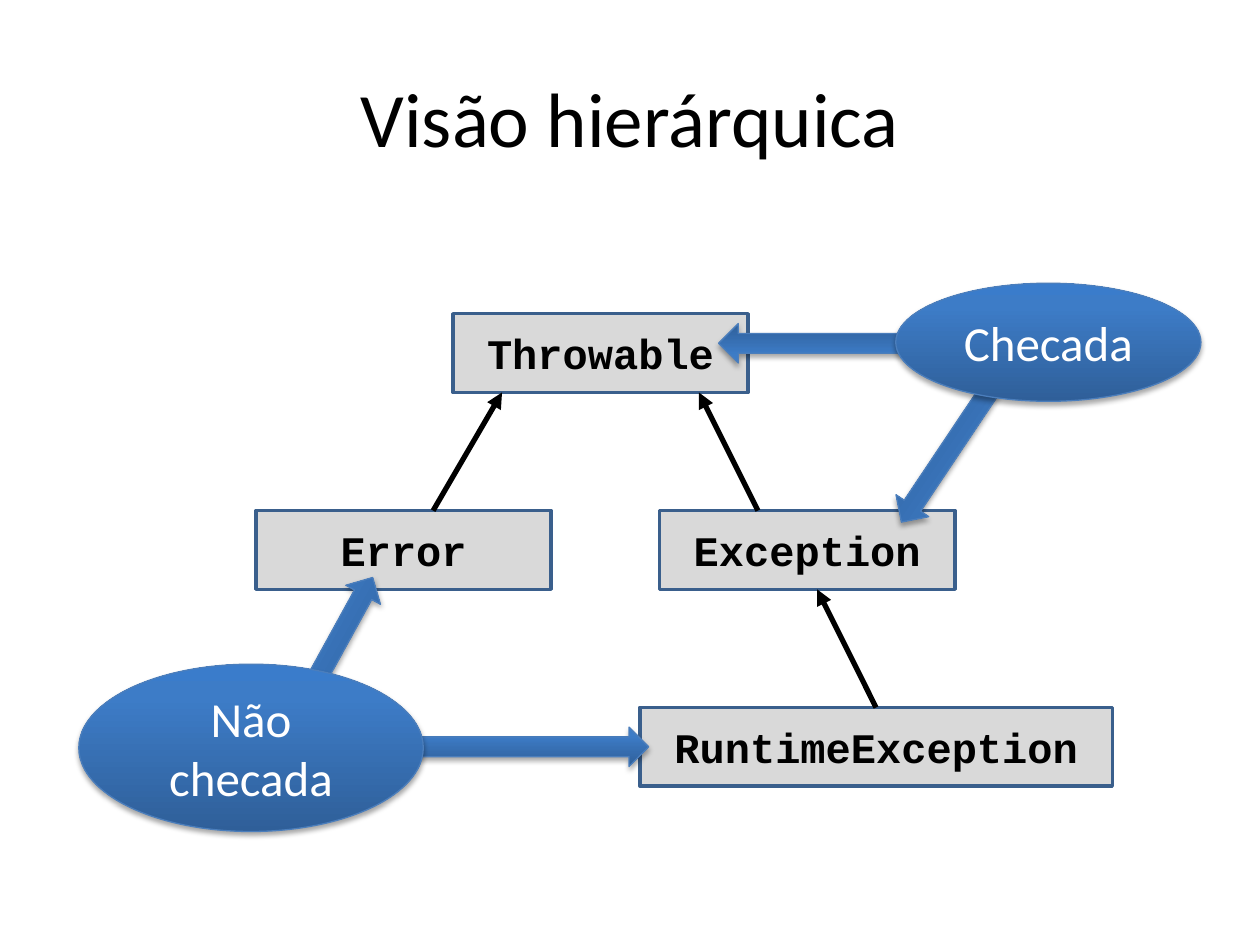
from pptx import Presentation
from pptx.dml.color import RGBColor
from pptx.enum.shapes import MSO_CONNECTOR as Link, MSO_SHAPE as Shape
from pptx.enum.text import MSO_ANCHOR as Anchor, PP_ALIGN as Align
from pptx.oxml import parse_xml
from pptx.oxml.ns import nsdecls
from pptx.util import Inches, Pt

WIDTH, HEIGHT = 10, 7.5
UNIT = WIDTH / 64          # one column or row of the diagram grid
TOP = -0.01                # where the grid's first row starts
NODE_ROWS, ARROW_ROWS = 4, 2
GRADIENT = [(0, "2F5F99"), (80, "3D7CC7"), (100, "3A7CCB")]


def color(value):
    return RGBColor.from_string(value)


def grid_point(col, row):
    return Inches(col * UNIT), Inches(TOP + row * UNIT)


def grid_box(col, row, cols, rows):
    return *grid_point(col, row), Inches(cols * UNIT), Inches(rows * UNIT)


def add_xml(parent, xml, index=None):
    node = parse_xml(xml.replace(">", f" {nsdecls('a')}>", 1))
    parent.insert(len(parent) if index is None else index, node)


def write(box, text, font, size, hue, bold=False):
    frame = box.text_frame
    frame.word_wrap = True
    frame.vertical_anchor = Anchor.MIDDLE
    para = frame.paragraphs[0]
    para.alignment = Align.CENTER
    span = para.add_run()
    span.text = text
    span.font.name, span.font.size, span.font.bold = font, Pt(size), bold
    span.font.color.rgb = color(hue)


def outline(box, hue, width):
    box.line.color.rgb = color(hue)
    box.line.width = Pt(width)


def add_title(page, left, top, width, height):
    box = page.shapes.add_textbox(*map(Inches, (left, top, width, height)))
    write(box, "Visão hierárquica", "Calibri", 44, "000000")


def add_node(page, text, col, row, cols):
    box = page.shapes.add_shape(Shape.RECTANGLE, *grid_box(col, row, cols, NODE_ROWS))
    box.shadow.inherit = False
    box.fill.solid()
    box.fill.fore_color.rgb = color("D9D9D9")
    outline(box, "3A5F8C", 2)
    write(box, text, "Courier New", 24, "000000", bold=True)
    return box


def add_link(page, start, end):
    link = page.shapes.add_connector(Link.STRAIGHT, *grid_point(*start), *grid_point(*end))
    outline(link, "000000", 3)
    add_xml(link.line._get_or_add_ln(), '<a:tailEnd type="triangle"></a:tailEnd>')
    add_xml(link._element.spPr, "<a:effectLst></a:effectLst>")
    return link


def add_glossy(group, kind, box):
    """Shape with the blue gradient and a soft shadow below."""
    shape = group.shapes.add_shape(kind, *box)
    props = shape._element.spPr
    stops = "".join(f'<a:gs pos="{pos * 1000}"><a:srgbClr val="{hue}"/></a:gs>'
                    for pos, hue in GRADIENT)
    add_xml(props, f'<a:gradFill rotWithShape="1"><a:gsLst>{stops}</a:gsLst>'
                   '<a:lin ang="16200000" scaled="0"/></a:gradFill>', index=2)
    outline(shape, "4B7EBC", 0.75)
    add_xml(props, f'<a:effectLst><a:outerShdw blurRad="{Pt(3.1)}" dist="{Pt(1.8)}" '
                   'dir="5400000" rotWithShape="0"><a:srgbClr val="000000">'
                   '<a:alpha val="35000"/></a:srgbClr></a:outerShdw></a:effectLst>')
    return shape


def add_callout(page, text, bubble, arrows):
    """Oval over its arrows; an arrow is centre column, centre row, length, angle."""
    group = page.shapes.add_group_shape()
    for col, row, length, angle in arrows:
        box = grid_box(col - length / 2, row - ARROW_ROWS / 2, length, ARROW_ROWS)
        add_glossy(group, Shape.RIGHT_ARROW, box).rotation = angle
    oval = add_glossy(group, Shape.OVAL, grid_box(*bubble))
    write(oval, text, "Calibri", 28, "FFFFFF")


def add_hierarchy(page):
    # Classes
    add_node(page, "Throwable", 23, 16, 15)
    add_node(page, "Error", 13, 26, 15)
    add_node(page, "Exception", 33.5, 26, 15)
    runtime = add_node(page, "RuntimeException", 32.5, 36, 24)
    # Inheritance
    add_link(page, (22, 26), (25.5, 20))
    add_link(page, (38.5, 26), (35.5, 20))
    add_link(page, (44.5, 36), (41.5, 30)).begin_connect(runtime, 0)
    # Kinds of exception
    add_callout(page, "Não checada", (4, 33.8, 17.5, 8.5),
                [(25.15, 38, 15.6, 0), (16.4, 34, 10.5, 298.8)])
    add_callout(page, "Checada", (45.5, 14.45, 15.5, 6),
                [(48.15, 23.05, 8.5, 123.8), (44, 17.5, 15, 180)])


def main():
    deck = Presentation()
    deck.slide_width, deck.slide_height = Inches(WIDTH), Inches(HEIGHT)
    page = deck.slides.add_slide(deck.slide_layouts[6])
    add_title(page, 0.05 * WIDTH, 0.04 * HEIGHT, 0.9 * WIDTH, HEIGHT / 6)
    add_hierarchy(page)
    deck.save("out.pptx")


if __name__ == "__main__":
    main()
